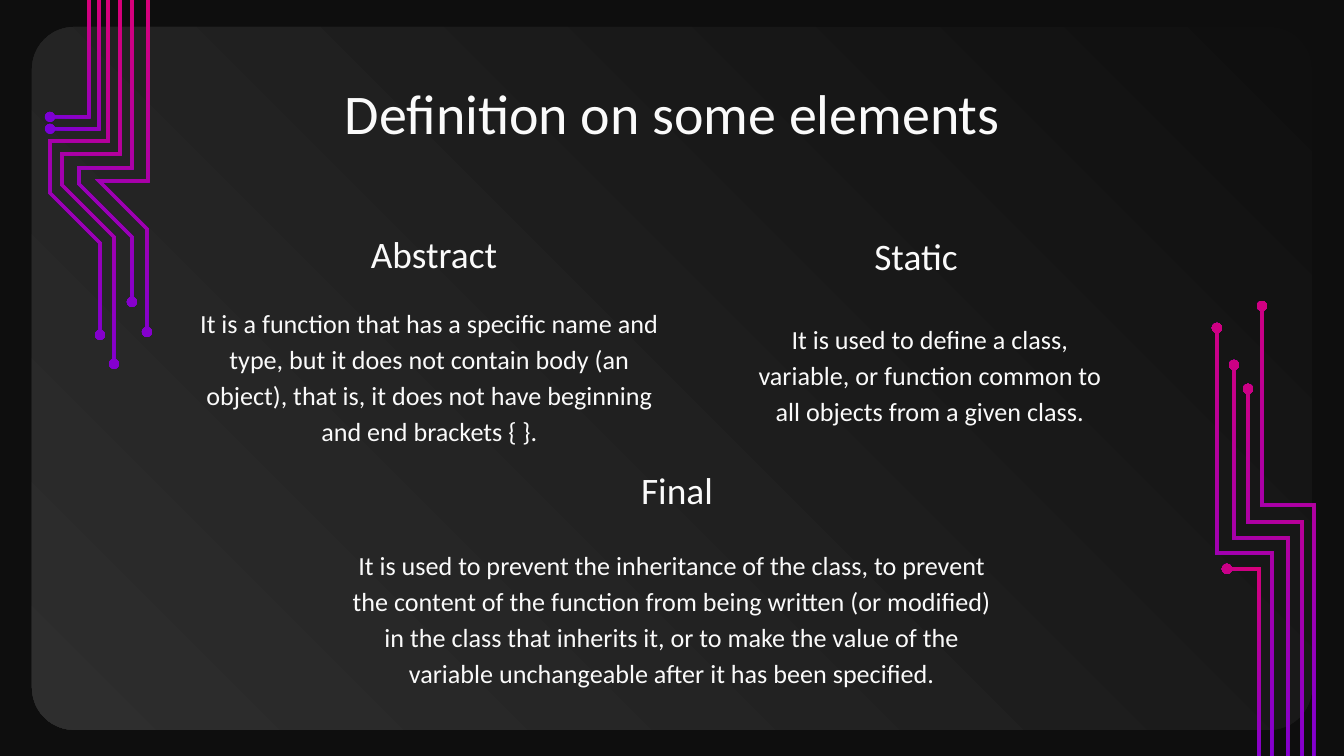
import math
from dataclasses import dataclass

import pptx
import pptx.dml.color
import pptx.enum.shapes
import pptx.enum.text
import pptx.util

PX = 914400 / 134.4  # EMU in one px
W, H = 1344, 756
TEXT, PURPLE, PINK = "FAFAFA", "7800DA", "DA0078"
HALF_WIDTH, DOT_RADIUS, ARC_STEPS = 1.5, 5, 24
INSET = 13
ANCHOR = pptx.enum.text.MSO_ANCHOR

Point = tuple[float, float]


@dataclass
class TextStyle:
    size: int
    spacing: float
    anchor: ANCHOR


@dataclass
class Label:
    text: str
    box: tuple[int, int, int, int]
    style: TextStyle


TITLE = TextStyle(30, 1.0, ANCHOR.TOP)
HEADING = TextStyle(20, 1.15, ANCHOR.BOTTOM)
BODY = TextStyle(14, 1.15, ANCHOR.TOP)

LABELS = [
    Label("Definition on some elements", (106, 66, 1133, 85), TITLE),
    Label("It is a function that has a specific name and type, but it does not "
          "contain body (an object), that is, it does not have beginning and end "
          "brackets { }.", (181, 290, 497, 98), BODY),
    Label("It is used to define a class, variable, or function common to all "
          "objects from a given class.", (739, 306, 382, 98), BODY),
    Label("It is used to prevent the inheritance of the class, to prevent the "
          "content of the function from being written (or modified) in the class "
          "that inherits it, or to make the value of the variable unchangeable "
          "after it has been specified.", (332, 532, 680, 98), BODY),
    Label("Abstract", (289, 204, 290, 85), HEADING),
    Label("Static", (771, 206, 290, 85), HEADING),
    Label("Final", (532, 440, 290, 85), HEADING),
]

# Centre lines of the circuit traces, each starting at its dot
RIGHT_TRACES = [
    [(1262, 306), (1262, 505), (1314, 505), (1314, H)],
    [(1248, 389), (1248, 522), (1302, 522), (1302, H)],
    [(1227, 569), (1259, 569), (1259, H)],
    [(1234, 365), (1234, 538), (1288, 538), (1288, H)],
    [(1217, 328), (1217, 553), (1272, 553), (1272, H)],
]
LEFT_TRACES = [
    [(50, 117), (89, 117), (89, 0)],
    [(50, 129), (99, 129), (99, 0)],
    [(100, 335), (100, 243), (50, 193), (50, 141), (108, 141), (108, 0)],
    [(114, 364), (114, 237), (62, 185), (62, 154), (120, 154), (120, 0)],
    [(132, 302), (132, 237), (79, 184), (79, 168), (132, 168), (132, 0)],
    [(147, 332), (147, 229), (99, 181), (148, 181), (148, 0)],
]


def emu(px: float) -> int:
    return round(px * PX)


def rgb(color: str) -> pptx.dml.color.RGBColor:
    return pptx.dml.color.RGBColor.from_string(color)


def paint(shape, start: str, end: str, angle: int) -> None:
    """Linear gradient without outline or shadow; angle is counter-clockwise."""
    shape.shadow.inherit = False
    shape.line.fill.background()
    shape.fill.gradient()
    shape.fill.gradient_angle = angle
    for stop, color in zip(shape.fill.gradient_stops, (start, end)):
        stop.color.rgb = rgb(color)


def polar(center: Point, angle: float, radius: float) -> Point:
    return (center[0] + radius * math.cos(angle),
            center[1] + radius * math.sin(angle))


def outline(line: list[Point]) -> list[Point]:
    """Outline of a mitred ribbon along the line, with a dot at its start."""
    angles = [math.atan2(b[1] - a[1], b[0] - a[0]) for a, b in zip(line, line[1:])]
    gap = math.asin(HALF_WIDTH / DOT_RADIUS)
    sweep = math.tau - 2 * gap
    points = [polar(line[0], angles[0] + gap + sweep * i / ARC_STEPS, DOT_RADIUS)
              for i in range(ARC_STEPS + 1)]
    sides = {-1: [], 1: []}
    for corner, before, after in zip(line[1:], angles, angles[1:] + angles[-1:]):
        half_turn = math.remainder(after - before, math.tau) / 2
        for side, edge in sides.items():
            edge.append(polar(corner, before + half_turn + side * math.pi / 2,
                              HALF_WIDTH / math.cos(half_turn)))
    return points + sides[-1] + sides[1][::-1]


def add_traces(s, traces: list[list[Point]]) -> None:
    group = s.shapes.add_group_shape()
    for line in traces:
        points = [(emu(x), emu(y)) for x, y in outline(line)]
        builder = group.shapes.build_freeform(*points[0])
        builder.add_line_segments(points[1:], close=True)
        paint(builder.convert_to_shape(), PURPLE, PINK, 45)


def add_label(s, label: Label) -> None:
    tf = s.shapes.add_textbox(*map(emu, label.box)).text_frame
    frame_format = {"word_wrap": True, "vertical_anchor": label.style.anchor}
    frame_format |= {f"margin_{side}": emu(INSET)
                     for side in ("left", "top", "right", "bottom")}
    p = tf.paragraphs[0]
    r = p.add_run()
    r.text = label.text
    formats = [
        (tf, frame_format),
        (p, {"alignment": pptx.enum.text.PP_ALIGN.CENTER,
             "line_spacing": label.style.spacing}),
        (r.font, {"name": "Calibri", "size": pptx.util.Pt(label.style.size)}),
    ]
    for target, values in formats:
        for name, value in values.items():
            setattr(target, name, value)
    r.font.color.rgb = rgb(TEXT)


def main() -> None:
    prs = pptx.Presentation()
    prs.slide_width, prs.slide_height = emu(W), emu(H)
    s = prs.slides.add_slide(prs.slide_layouts[6])

    # Background and rounded panel
    s.background.fill.solid()
    s.background.fill.fore_color.rgb = rgb("0E0E0E")
    panel = s.shapes.add_shape(pptx.enum.shapes.MSO_SHAPE.ROUNDED_RECTANGLE,
                               *map(emu, (32, 27, 1280, 703)))
    panel.adjustments[0] = 0.06
    paint(panel, "0F0F0F", "2E2E2E", 225)

    # Title, headings and definitions
    for label in LABELS:
        add_label(s, label)

    # Circuit traces on both sides
    for traces in (RIGHT_TRACES, LEFT_TRACES):
        add_traces(s, traces)

    prs.save("out.pptx")


if __name__ == "__main__":
    main()
